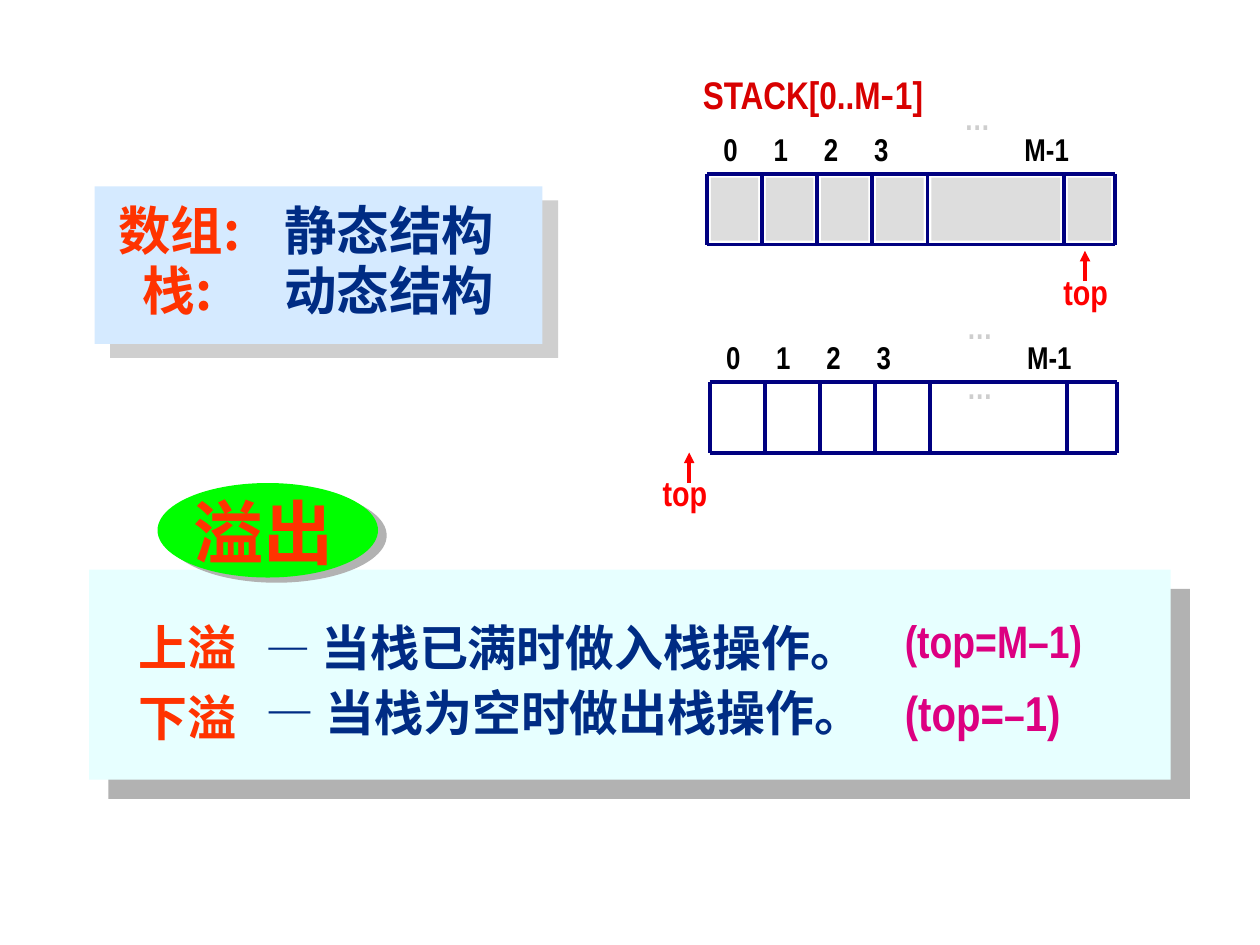
from dataclasses import dataclass

from lxml import etree
from pptx import Presentation
from pptx import util as u
from pptx.dml.color import RGBColor
from pptx.enum import shapes, text
from pptx.oxml import ns

Pt = u.Pt


@dataclass(frozen=True)
class Theme:
    latin: str = "Arial Narrow"
    cjk: str = "Noto Sans CJK SC"
    term: str = "FF3300"
    body: str = "002C84"
    condition: str = "DC0081"
    heading: str = "D80000"
    index: str = "000000"
    dots: str = "CECECE"
    pointer: str = "FF0000"
    grid: str = "000080"
    cell: str = "DDDDDD"
    structure_panel: str = "D5EAFF"
    structure_shadow: str = "CFCFCF"
    overflow_panel: str = "E7FFFF"
    overflow_shadow: str = "B2B2B2"
    badge: str = "00FF00"
    index_size: int = 18
    pointer_size: int = 20
    heading_size: int = 22
    condition_size: int = 26
    rule_size: int = 28
    structure_size: int = 30
    badge_size: int = 40


THEME = Theme()
ROUND_EDGES = [0, 31.5, 63, 94.5, 126, 204, 233]


def add_child(parent, tag, **attributes):
    return etree.SubElement(parent, ns.qn(tag), attributes)


def cast_shadow(properties, color, distance, angle):
    effects = add_child(properties, "a:effectLst")
    shadow = add_child(effects, "a:outerShdw", dist=str(int(Pt(distance))),
                       dir=str(angle * 60000), algn="ctr", rotWithShape="0")
    add_child(shadow, "a:srgbClr", val=color)


def add_panel(slide, kind, box, color, shadow=None):
    panel = slide.shapes.add_shape(kind, *map(Pt, box))
    panel.fill.solid()
    panel.fill.fore_color.rgb = RGBColor.from_string(color)
    panel.line.fill.background()
    if shadow:
        cast_shadow(panel._element.spPr, *shadow)
    else:
        panel.shadow.inherit = False


def add_line(slide, start, end, color, width, arrow=False):
    line = slide.shapes.add_connector(
        shapes.MSO_CONNECTOR.STRAIGHT, *map(Pt, start + end))
    line.line.color.rgb = RGBColor.from_string(color)
    line.line.width = Pt(width)
    if arrow:
        add_child(line.line._get_or_add_ln(), "a:tailEnd", type="triangle")
    add_child(line._element.spPr, "a:effectLst")


def add_text(slide, box, paragraphs, color, spacing=None, indents=(), shadow=None):
    frame = slide.shapes.add_textbox(*map(Pt, box)).text_frame
    frame.word_wrap = True
    frame.auto_size = text.MSO_AUTO_SIZE.SHAPE_TO_FIT_TEXT
    for number, runs in enumerate(paragraphs):
        paragraph = frame.add_paragraph() if number else frame.paragraphs[0]
        if spacing:
            paragraph.line_spacing = spacing
        if indents:
            paragraph._p.get_or_add_pPr().set("marL", str(int(Pt(indents[number]))))
        for words, size, font in runs:
            run = paragraph.add_run()
            run.text = words
            run.font.size = Pt(size)
            run.font.bold = True
            run.font.color.rgb = RGBColor.from_string(color)
            properties = run._r.get_or_add_rPr()
            if shadow:
                cast_shadow(properties, *shadow)
            run.font.name = font
            add_child(properties, "a:ea", typeface=THEME.cjk)
    return frame


def add_structures(slide, box):
    left, top, width, height = box
    size = THEME.structure_size
    add_panel(slide, shapes.MSO_SHAPE.RECTANGLE, box, THEME.structure_panel,
              (THEME.structure_shadow, 12, 42))
    add_text(slide, (left, top + 6, 130, 75),
             [[("数组:", size, THEME.cjk)], [("栈:", size, THEME.cjk)]],
             THEME.term, 0.95, (6.5, 20.5), ("000000", 2, 45))
    add_text(slide, (left + 101.5, top + 6, 174, 75),
             [[(words, size, THEME.cjk)] for words in ("静态结构", "动态结构")],
             THEME.body, 0.95)


def add_pointer(slide, tip, label_left):
    x, y = tip
    add_text(slide, (label_left, y + 7.5, 73, 31),
             [[("top", THEME.pointer_size, THEME.latin)]], THEME.pointer)
    add_line(slide, (x, y + 17.3), tip, THEME.pointer, 2, arrow=True)


def add_dots(slide, left, top):
    add_text(slide, (left, top, 47, 45),
             [[("…", THEME.index_size, THEME.latin)]], THEME.dots)


def add_array(slide, box, filled):
    left, top, width, height = box
    bottom = top + height
    if filled:
        for start, end in zip(ROUND_EDGES, ROUND_EDGES[1:]):
            add_panel(slide, shapes.MSO_SHAPE.RECTANGLE,
                      (left + start + 2.2, top + 2.2, end - start - 4.4, height - 4.4),
                      THEME.cell)
    for y in (top, bottom):
        add_line(slide, (left, y), (left + width, y), THEME.grid, 2)
    for edge in ROUND_EDGES:
        add_line(slide, (left + edge, top), (left + edge, bottom), THEME.grid, 2.25)
    indices = add_text(slide, (left + 2.3, top - 28.5, 215, 29),
                       [[("0\t1\t2\t3\tM-1", THEME.index_size, THEME.latin)]], THEME.index)
    stops = add_child(indices.paragraphs[0]._p.get_or_add_pPr(), "a:tabLst")
    for position in (28.7, 57.4, 86.1, 172):
        add_child(stops, "a:tab", pos=str(int(Pt(position))), algn="l")
    add_dots(slide, left + 140, top - 46)
    if not filled:
        add_dots(slide, left + 140, top - 11.5)


def add_stack(slide, box):
    left, top, width, height = box
    size = THEME.heading_size
    add_text(slide, (left - 9.5, top - 62, 248, 34),
             [[("STACK[0..M", size, THEME.latin), ("-", size, THEME.cjk),
               ("1]", size, THEME.latin)]], THEME.heading)
    add_array(slide, box, filled=True)
    add_pointer(slide, (left + 216, top + 44), left + 196.5)
    empty_left, empty_top = left + 1.5, top + 119
    add_array(slide, (empty_left, empty_top, width, height), filled=False)
    add_pointer(slide, (empty_left - 11.7, empty_top + 40.3), empty_left - 34)


def add_overflow(slide, box):
    left, top, width, height = box
    latin, cjk = THEME.latin, THEME.cjk
    small, size = THEME.condition_size, THEME.rule_size
    term_shadow = ("000000", 2, 45)
    add_panel(slide, shapes.MSO_SHAPE.RECTANGLE, box, THEME.overflow_panel,
              (THEME.overflow_shadow, 15.6, 45))
    add_text(slide, (left + 21, top + 17, 114, 88),
             [[(term, size, cjk)] for term in ("上溢", "下溢")],
             THEME.term, 1.2, shadow=term_shadow)
    rules = [
        (27.5, [("— ", small, latin), ("当栈已满时做入栈操作。", size, cjk)],
         25, [("(top=M–1)", small, latin)]),
        (65, [("— 当栈为空时做出栈操作。", size, latin)],
         65, [("(top=", size, latin), ("–", small, latin), ("1)", size, latin)]),
    ]
    for rule_top, rule, condition_top, condition in rules:
        add_text(slide, (left + 93.5, top + rule_top, 400, 37), [rule], THEME.body, 0.9)
        add_text(slide, (left + 459, top + condition_top, 150, 37), [condition],
                 THEME.condition, 0.9)
    add_panel(slide, shapes.MSO_SHAPE.OVAL, (left + 39, top - 49.5, 126, 54),
              THEME.badge, (THEME.overflow_shadow, 5.8, 31))
    add_text(slide, (left + 52.5, top - 49.5, 104, 55),
             [[("溢出", THEME.badge_size, latin)]], THEME.term, shadow=term_shadow)


def main():
    deck = Presentation()
    deck.slide_width, deck.slide_height = Pt(720), Pt(540)
    slide = deck.slides.add_slide(deck.slide_layouts[6])
    add_overflow(slide, (51, 325.5, 618, 120))
    add_structures(slide, (54, 106.5, 256, 90))
    add_stack(slide, (404, 99.3, 233, 40.5))
    deck.save("out.pptx")


if __name__ == "__main__":
    main()
